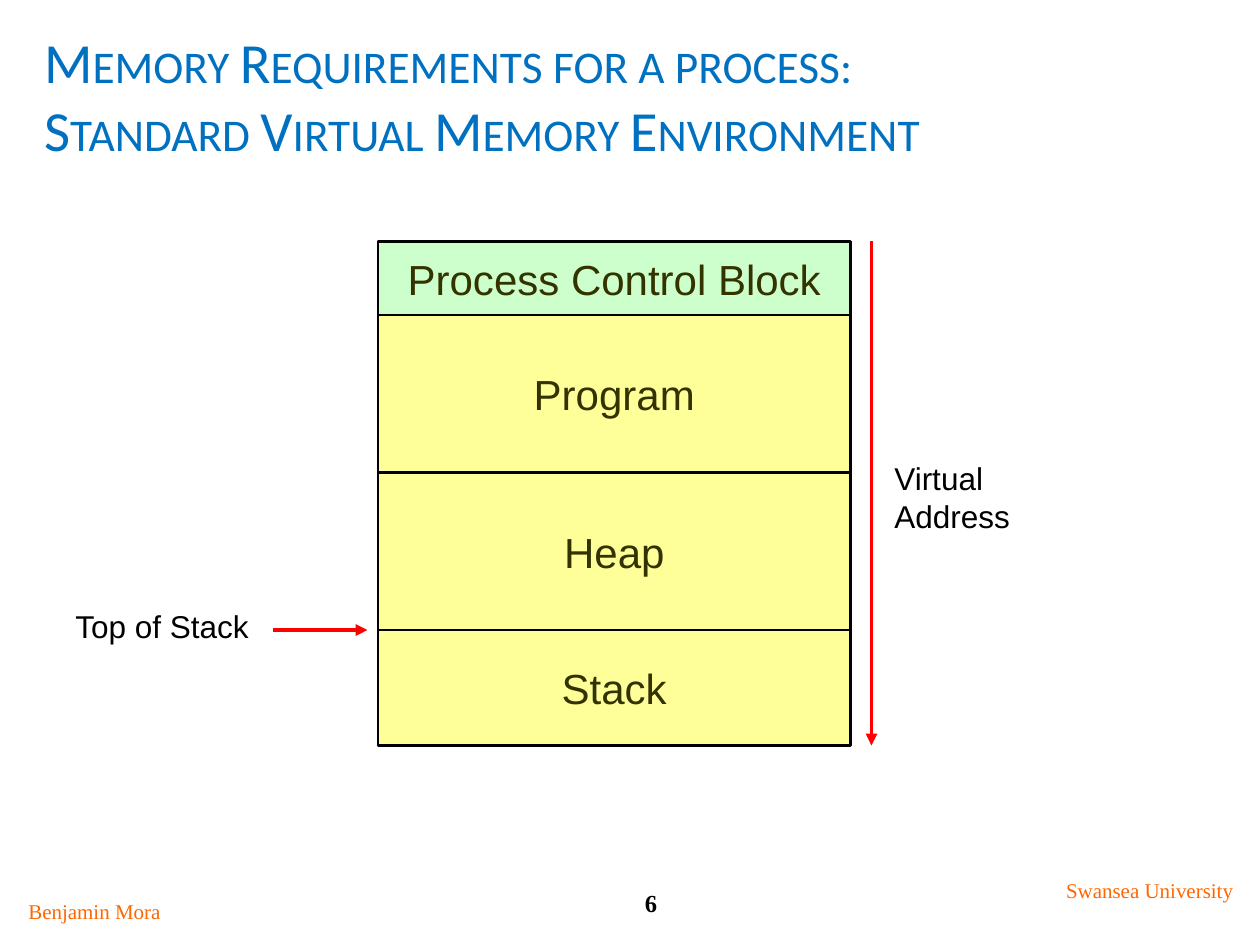
from lxml import etree
from pptx import Presentation
from pptx.dml.color import RGBColor
from pptx.enum.shapes import MSO_CONNECTOR, MSO_SHAPE
from pptx.enum.text import MSO_ANCHOR, MSO_AUTO_SIZE, PP_ALIGN
from pptx.oxml.ns import qn
from pptx.util import Pt

LEFT, CENTER = PP_ALIGN.LEFT, PP_ALIGN.CENTER
MIDDLE = MSO_ANCHOR.MIDDLE
NO_FIT, GROW = MSO_AUTO_SIZE.NONE, MSO_AUTO_SIZE.SHAPE_TO_FIT_TEXT
RECT, STRAIGHT = MSO_SHAPE.RECTANGLE, MSO_CONNECTOR.STRAIGHT

# Text formats
TITLE = {"name": "Calibri", "size": Pt(32.4), "color": "0070C0", "bold": False}
BLOCK = {"name": "Arial", "size": Pt(24), "color": "333300"}
LABEL = {"name": "Arial", "size": Pt(18), "color": "000000"}
FOOTER = {"name": "Times New Roman", "size": Pt(12), "color": "FF6600"}
NUMBER = {"name": "Times New Roman", "size": Pt(14), "color": "000000", "bold": True}

# Memory map: name, height, fill
STACK_LEFT, STACK_TOP, STACK_WIDTH = 216, 138, 270
BLOCKS = [
    ("Process Control Block", 42, "CCFFCC"),
    ("Program", 90, "FFFF99"),
    ("Heap", 90, "FFFF99"),
    ("Stack", 66, "FFFF99"),
]


def rgb(color):
    return RGBColor.from_string(color)


def add_run(p, text, fmt):
    r = p.add_run()
    r.text = text
    for key, value in fmt.items():
        if key == "color":
            r.font.color.rgb = rgb(value)
        else:
            setattr(r.font, key, value)
    return r


def set_title(s, lines):
    title = s.shapes.title
    box = {"left": 18, "top": 12, "width": 684, "height": 84}
    for key, value in box.items():
        setattr(title, key, Pt(value))
    tf = title.text_frame
    tf.auto_size, tf.vertical_anchor = NO_FIT, MIDDLE
    p = tf.paragraphs[0]
    p.alignment = LEFT
    for i, line in enumerate(lines):
        if i:
            p.add_line_break()
        r = add_run(p, line, TITLE)
        r.font._element.set("cap", "small")


def add_label(s, text, box, fmt, align=LEFT):
    tf = s.shapes.add_textbox(*map(Pt, box)).text_frame
    tf.word_wrap, tf.auto_size = True, GROW
    p = tf.paragraphs[0]
    p.alignment = align
    add_run(p, text, fmt)


def add_block(group, text, top, height, fill):
    sp = group.shapes.add_shape(
        RECT, Pt(STACK_LEFT), Pt(top), Pt(STACK_WIDTH), Pt(height))
    sp.shadow.inherit = False
    sp.fill.solid()
    sp.fill.fore_color.rgb = rgb(fill)
    sp.line.color.rgb = rgb("000000")
    sp.line.width = Pt(1.5)
    tf = sp.text_frame
    tf.word_wrap, tf.vertical_anchor = False, MIDDLE
    p = tf.paragraphs[0]
    p.alignment = CENTER
    add_run(p, text, BLOCK)


def add_arrow(s, *ends):
    line = s.shapes.add_connector(STRAIGHT, *map(Pt, ends))
    line.line.color.rgb = rgb("FF0000")
    line.line.width = Pt(2.25)
    etree.SubElement(line.line._get_or_add_ln(), qn("a:tailEnd"), type="triangle")
    etree.SubElement(line._element.spPr, qn("a:effectLst"))


def main():
    prs = Presentation()
    prs.slide_width, prs.slide_height = Pt(720), Pt(540)
    s = prs.slides.add_slide(prs.slide_layouts[5])

    set_title(s, ["Memory Requirements for a process:",
                  "Standard Virtual Memory Environment"])

    # Footer
    add_label(s, "6", (324, 504, 96, 24), NUMBER, CENTER)
    add_label(s, "Benjamin Mora", (6, 510, 96, 21.6), FOOTER, CENTER)
    add_label(s, "Swansea University", (600, 498, 114, 21.6), FOOTER, CENTER)

    # Memory blocks, stacked from the top
    group = s.shapes.add_group_shape()
    bottom = STACK_TOP
    for text, height, fill in BLOCKS:
        add_block(group, text, bottom, height, fill)
        bottom += height

    # Pointer to the top of the stack
    stack_top = bottom - BLOCKS[-1][1]
    add_arrow(s, 156, stack_top, 210, stack_top)
    add_label(s, "Top of Stack", (36, 343.5, 120, 29), LABEL)

    # Address axis
    add_arrow(s, 498, STACK_TOP, 498, bottom)
    add_label(s, "Virtual Address", (504, 259, 108, 51), LABEL)

    prs.save("out.pptx")


if __name__ == "__main__":
    main()
